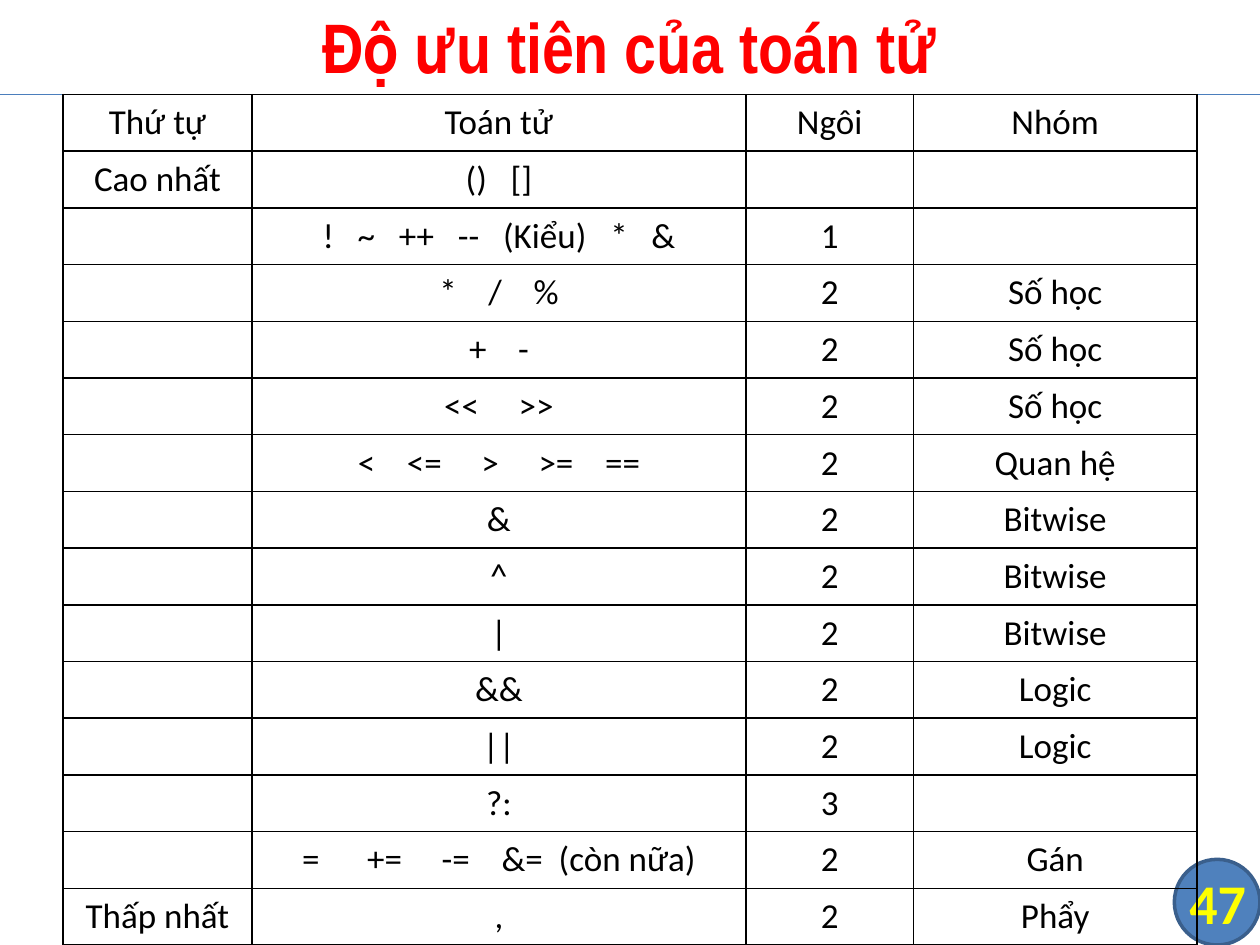
from dataclasses import dataclass

from lxml.etree import SubElement
from pptx import Presentation
from pptx.dml.color import RGBColor
from pptx.enum.shapes import MSO_CONNECTOR, MSO_SHAPE
from pptx.enum.text import MSO_ANCHOR as Anchor, PP_ALIGN as Align
from pptx.oxml.ns import qn
from pptx.util import Inches, Pt


@dataclass(frozen=True)
class Theme:
    accent: str = "4F81BD"
    accent_edge: str = "3A5F8C"
    rule: str = "4B7EBC"
    title: str = "FF0000"
    number: str = "FFFF00"
    ink: str = "000000"
    title_font: str = "Arial Narrow"
    body_font: str = "Calibri"
    title_size: int = 40
    number_size: int = 32
    table_size: int = 20
    space_width: float = 4.52  # points, one body-font space at table_size


@dataclass(frozen=True)
class Row:
    """One precedence level; gaps are the distances between operators, in spaces."""
    operators: tuple[str, ...]
    arity: str = ""
    group: str = ""
    order: str = ""
    gaps: tuple[int, ...] = ()


THEME = Theme()
COLUMN_WIDTHS = (1.5, 3.92, 1.33, 2.25)
ROW_HEIGHT = 0.45
TABLE_LEFT, TABLE_TOP = 0.5, 0.75
ROWS = (
    Row(("Toán tử",), "Ngôi", "Nhóm", "Thứ tự"),
    Row(("()", "[]"), order="Cao nhất", gaps=(3,)),
    Row(("!", "~", "++", "--", "(Kiểu)", "*", "&"), "1", gaps=(3,) * 6),
    Row(("*", "/", "%"), "2", "Số học", gaps=(4, 4)),
    Row(("+", "-"), "2", "Số học", gaps=(4,)),
    Row(("<<", ">>"), "2", "Số học", gaps=(5,)),
    Row(("<", "<=", ">", ">=", "=="), "2", "Quan hệ", gaps=(4, 5, 5, 4)),
    Row(("&",), "2", "Bitwise"),
    Row(("^",), "2", "Bitwise"),
    Row(("|",), "2", "Bitwise"),
    Row(("&&",), "2", "Logic"),
    Row(("||",), "2", "Logic"),
    Row(("?:",), "3"),
    Row(("=", "+=", "-=", "&=", "(còn nữa)"), "2", "Gán", gaps=(6, 5, 4, 2)),
    Row((",",), "2", "Phẩy", "Thấp nhất"),
)


def apply_format(target, values: dict) -> None:
    for name, value in values.items():
        setattr(target, name, value)


def add_span(para, text: str, font: str, size: int, color: str, bold: bool = False):
    span = para.add_run()
    span.text = text
    apply_format(span.font, {"name": font, "size": Pt(size), "bold": bold})
    span.font.color.rgb = RGBColor.from_string(color)
    return span


def add_title(page, text: str) -> None:
    title = page.shapes.title
    apply_format(title, {"left": 0, "top": Inches(-0.03),
                         "width": Inches(10), "height": Inches(0.78)})
    title.text_frame.vertical_anchor = Anchor.MIDDLE
    para = title.text_frame.paragraphs[0]
    para.alignment = Align.CENTER
    add_span(para, text, THEME.title_font, THEME.title_size, THEME.title, True)


def add_title_rule(page) -> None:
    rule = page.shapes.add_connector(
        MSO_CONNECTOR.STRAIGHT, 0, Inches(0.75), Inches(10), Inches(0.75))
    rule.line.color.rgb = RGBColor.from_string(THEME.rule)
    rule.line.width = Pt(0.75)
    SubElement(rule.element.spPr, qn("a:effectLst"))


def add_page_number(page, number: str) -> None:
    badge = page.shapes.add_shape(
        MSO_SHAPE.FLOWCHART_CONNECTOR,
        Inches(9.32), Inches(6.82), Inches(0.68), Inches(0.68))
    badge.shadow.inherit = False
    badge.fill.solid()
    badge.fill.fore_color.rgb = RGBColor.from_string(THEME.accent)
    badge.line.color.rgb = RGBColor.from_string(THEME.accent_edge)
    badge.line.width = Pt(2)

    box = page.shapes.add_textbox(Inches(9.33), Inches(6.82), Inches(0.67), Inches(0.68))
    apply_format(box.text_frame, {
        "word_wrap": True, "vertical_anchor": Anchor.MIDDLE, "margin_left": 0,
        "margin_right": 0, "margin_top": 0, "margin_bottom": 0})
    para = box.text_frame.paragraphs[0]
    para.alignment = Align.CENTER
    add_span(para, number, THEME.body_font, THEME.number_size, THEME.number, True)


def add_borders(cell) -> None:
    properties = cell._tc.get_or_add_tcPr()
    for index, side in enumerate(("lnL", "lnR", "lnT", "lnB")):
        border = SubElement(properties, qn(f"a:{side}"), w=str(Pt(1)))
        fill = SubElement(border, qn("a:solidFill"))
        SubElement(fill, qn("a:srgbClr"), val=THEME.ink)
        properties.insert(index, border)


def fill_cell(cell, words: tuple[str, ...], gaps: tuple[int, ...] = ()) -> None:
    """Writes the words, each gap being one space widened by character spacing."""
    apply_format(cell, {
        "vertical_anchor": Anchor.MIDDLE, "margin_left": Inches(0.07),
        "margin_right": Inches(0.07), "margin_top": 0, "margin_bottom": 0})
    cell.fill.background()
    add_borders(cell)
    para = cell.text_frame.paragraphs[0]
    apply_format(para, {"alignment": Align.CENTER,
                        "space_before": Pt(3), "space_after": Pt(3)})
    style = (THEME.body_font, THEME.table_size, THEME.ink)
    for index, word in enumerate(words):
        if index:
            space = add_span(para, " ", *style)
            extra = (gaps[index - 1] - 1) * THEME.space_width
            space.font._element.set("spc", str(round(extra * 100)))
        if word:
            add_span(para, word, *style)


def add_precedence_table(page, rows: tuple[Row, ...]) -> None:
    table = page.shapes.add_table(
        len(rows), len(COLUMN_WIDTHS), Inches(TABLE_LEFT), Inches(TABLE_TOP),
        Inches(sum(COLUMN_WIDTHS)), Inches(ROW_HEIGHT * len(rows))).table
    apply_format(table, {"first_row": False, "horz_banding": False})
    for column, width in zip(table.columns, COLUMN_WIDTHS):
        column.width = Inches(width)
    for line, row in zip(table.rows, rows):
        line.height = Inches(ROW_HEIGHT)
        order, operators, arity, group = line.cells
        fill_cell(order, (row.order,))
        fill_cell(operators, row.operators, row.gaps)
        fill_cell(arity, (row.arity,))
        fill_cell(group, (row.group,))


def main() -> None:
    deck = Presentation()
    deck.slide_width, deck.slide_height = Inches(10), Inches(7.5)
    page = deck.slides.add_slide(deck.slide_layouts[5])
    add_title_rule(page)
    add_title(page, "Độ ưu tiên của toán tử")
    add_page_number(page, "47")
    add_precedence_table(page, ROWS)
    deck.save("out.pptx")


if __name__ == "__main__":
    main()
